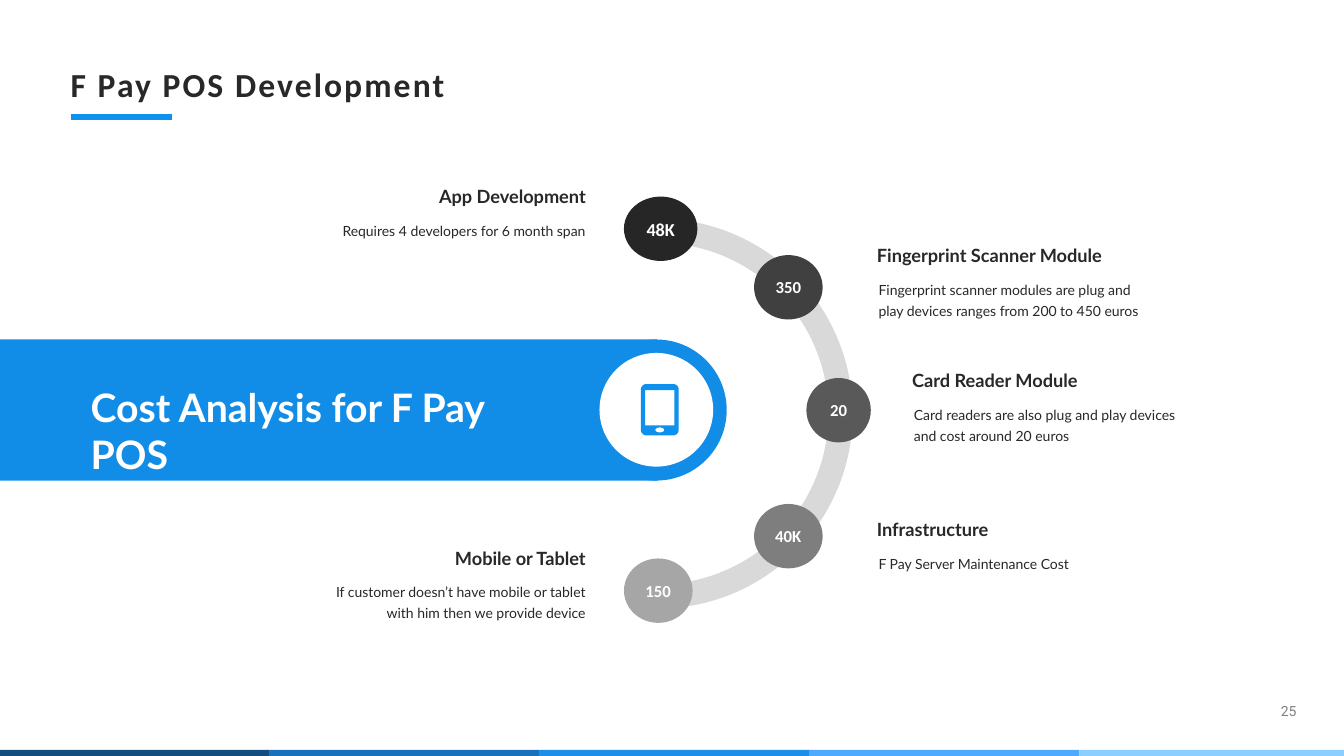
from math import cos, pi, sin

from lxml import etree
from pptx import Presentation
from pptx.dml.color import RGBColor
from pptx.enum.shapes import MSO_CONNECTOR, MSO_SHAPE
from pptx.enum.text import MSO_ANCHOR, MSO_AUTO_SIZE, PP_ALIGN
from pptx.oxml.ns import qn
from pptx.util import Pt

RECT, OVAL, ARC = MSO_SHAPE.RECTANGLE, MSO_SHAPE.OVAL, MSO_SHAPE.BLOCK_ARC
LINE = MSO_CONNECTOR.STRAIGHT
LEFT, MID, RIGHT = PP_ALIGN.LEFT, PP_ALIGN.CENTER, PP_ALIGN.RIGHT
TOP, CENTER = MSO_ANCHOR.TOP, MSO_ANCHOR.MIDDLE
FIXED = MSO_AUTO_SIZE.NONE

COLORS = {
    "ink": "282828", "white": "FFFFFF", "gray": "808080", "ring": "D9D9D9",
    "blue": "118CE7", "accent": "0E91EE",
    "node1": "262626", "node2": "404040", "node3": "595959",
    "node4": "7E7E7E", "node5": "A6A6A6",
    "bar1": "134D7E", "bar2": "1971BB", "bar3": "1D8EEA",
    "bar4": "4EAAFF", "bar5": "8BCEFF",
}

STYLES = {
    "title": {"font": {"name": "Calibri", "size": Pt(24), "bold": True},
              "para": {"line_spacing": 0.9, "space_before": Pt(10)}},
    "head": {"font": {"name": "Lato", "size": Pt(13), "bold": True},
             "para": {"line_spacing": 0.9, "space_before": Pt(7.5)}},
    "body": {"font": {"name": "Lato", "size": Pt(10)},
             "para": {"line_spacing": 1.25}},
    "banner": {"font": {"name": "Lato", "size": Pt(28), "bold": True},
               "para": {"space_before": Pt(7.5)}},
    "page": {"font": {"name": "Roboto", "size": Pt(10)}, "para": {}},
    "node": {"font": {"name": "Calibri", "size": Pt(12), "bold": True},
             "para": {}},
    "lead": {"font": {"name": "Calibri", "size": Pt(13), "bold": True},
             "para": {}},
}

NODES = [
    ("48K", "lead", 445.7, 140.4, 52.5),
    ("350", "node", 538.6, 182.2, 49),
    ("20", "node", 576, 270, 46),
    ("40K", "node", 538.6, 360, 49),
    ("150", "node", 445.7, 398.9, 49),
]

COSTS = [
    ("App Development", "Requires 4 developers for 6 month span",
     219, 134, RIGHT),
    ("Fingerprint Scanner Module",
     "Fingerprint scanner modules are plug and play devices ranges "
     "from 200 to 450 euros", 626.4, 176.4, LEFT),
    ("Card Reader Module",
     "Card readers are also plug and play devices and cost around 20 euros",
     651.6, 265.7, LEFT),
    ("Infrastructure", "F Pay Server Maintenance Cost", 626.4, 372.2, LEFT),
    ("Mobile or Tablet",
     "If customer doesn’t have mobile or tablet with him then we "
     "provide device", 219, 392.4, RIGHT),
]


def tint(name):
    return RGBColor.from_string(COLORS[name])


def apply(item, values):
    for name, value in values.items():
        setattr(item, name, value)


def write(shape, text, style, color, align=LEFT, anchor=TOP, wrap=True):
    frame = shape.text_frame
    apply(frame, {"auto_size": FIXED, "word_wrap": wrap,
                  "vertical_anchor": anchor, "margin_left": 0,
                  "margin_top": 0, "margin_right": 0, "margin_bottom": 0})
    para = frame.paragraphs[0]
    para.alignment = align
    apply(para, STYLES[style]["para"])
    run = para.add_run()
    run.text = text
    apply(run.font, STYLES[style]["font"])
    run.font.color.rgb = tint(color)
    return run


def paint(shape, color):
    shape.shadow.inherit = False
    shape.fill.solid()
    shape.fill.fore_color.rgb = tint(color)
    shape.line.fill.background()
    return shape


def add_form(slide, kind, box, color):
    return paint(slide.shapes.add_shape(kind, *map(Pt, box)), color)


def add_text(slide, box, *args, **format):
    write(slide.shapes.add_textbox(*map(Pt, box)), *args, **format)


def add_title(slide, text):
    title = slide.shapes.title
    apply(title, {"left": Pt(50.4), "top": Pt(49),
                  "width": Pt(859), "height": Pt(23.8)})
    run = write(title, text, "title", "ink")
    run.font._element.set("spc", "150")
    rule = slide.shapes.add_connector(
        LINE, Pt(50.4), Pt(83.7), Pt(123.1), Pt(83.7))
    rule.line.color.rgb = tint("accent")
    rule.line.width = Pt(4.5)
    etree.SubElement(rule._element.spPr, qn("a:effectLst"))


def add_footer(slide):
    for index in range(5):
        add_form(slide, RECT, (193 * index - 1, 535.7, 193, 7),
                 f"bar{index + 1}")
    add_text(slide, (903.6, 492.5, 33.8, 31), "25", "page", "gray",
             align=MID, anchor=CENTER)


def add_ring(slide):
    ring = add_form(slide, ARC, (330.5, 156.2, 278.6, 278.6), "ring")
    ring.adjustments[0] = 270 * 0.6
    ring.adjustments[1] = 90 * 0.6
    ring.adjustments[2] = 17.3 / 278.6
    for index, (text, style, x, y, width) in enumerate(NODES, 1):
        node = add_form(slide, OVAL, (x, y, width, 46), f"node{index}")
        write(node, text, style, "white", align=MID, anchor=CENTER,
              wrap=False)


def add_cost(slide, head, body, x, y, align):
    add_text(slide, (x + 1.2, y + 21.7, 198, 44), body, "body", "ink",
             align=align)
    add_text(slide, (x, y, 199.4, 22.3), head, "head", "ink", align=align)


def curve(x, y, wide, high, start=0, turn=2 * pi, steps=24):
    angles = [start + turn * step / steps for step in range(steps + 1)]
    return [(x + wide * cos(a), y + high * sin(a)) for a in angles]


def add_tablet(slide):
    left, top, right, bottom, bend = 457.8, 274.3, 484.8, 311, 4
    corners = [(right - bend, bottom - bend), (left + bend, bottom - bend),
               (left + bend, top + bend), (right - bend, top + bend)]
    case = [point for index, (x, y) in enumerate(corners)
            for point in curve(x, y, bend, bend, index * pi / 2, pi / 2, 8)]
    screen = [(460.8, 278.6), (481.7, 278.6), (481.7, 303.8), (460.8, 303.8)]
    button = curve(471.3, 307.1, 3.2, 1.8)
    paths = [[(Pt(x), Pt(y)) for x, y in path]
             for path in (case, screen, button)]
    builder = slide.shapes.build_freeform(*paths[0][0])
    for path in paths:
        builder.move_to(*path[0])
        builder.add_line_segments(path[1:], close=True)
    paint(builder.convert_to_shape(), "accent")


def add_banner(slide):
    add_form(slide, RECT, (0, 242.5, 469.4, 100.8), "blue")
    add_form(slide, OVAL, (418.3, 242.5, 100.8, 100.8), "blue")
    add_form(slide, OVAL, (428.2, 252.1, 81.2, 81.2), "white")
    add_text(slide, (64.8, 273.6, 329.8, 38.2),
             "Cost Analysis for F Pay POS", "banner", "white")
    add_tablet(slide)


def main():
    deck = Presentation()
    deck.slide_width, deck.slide_height = Pt(960), Pt(540)
    slide = deck.slides.add_slide(deck.slide_layouts[5])
    add_footer(slide)
    add_title(slide, "F Pay POS Development")
    add_ring(slide)
    for cost in COSTS:
        add_cost(slide, *cost)
    add_banner(slide)
    deck.save("out.pptx")


if __name__ == "__main__":
    main()
